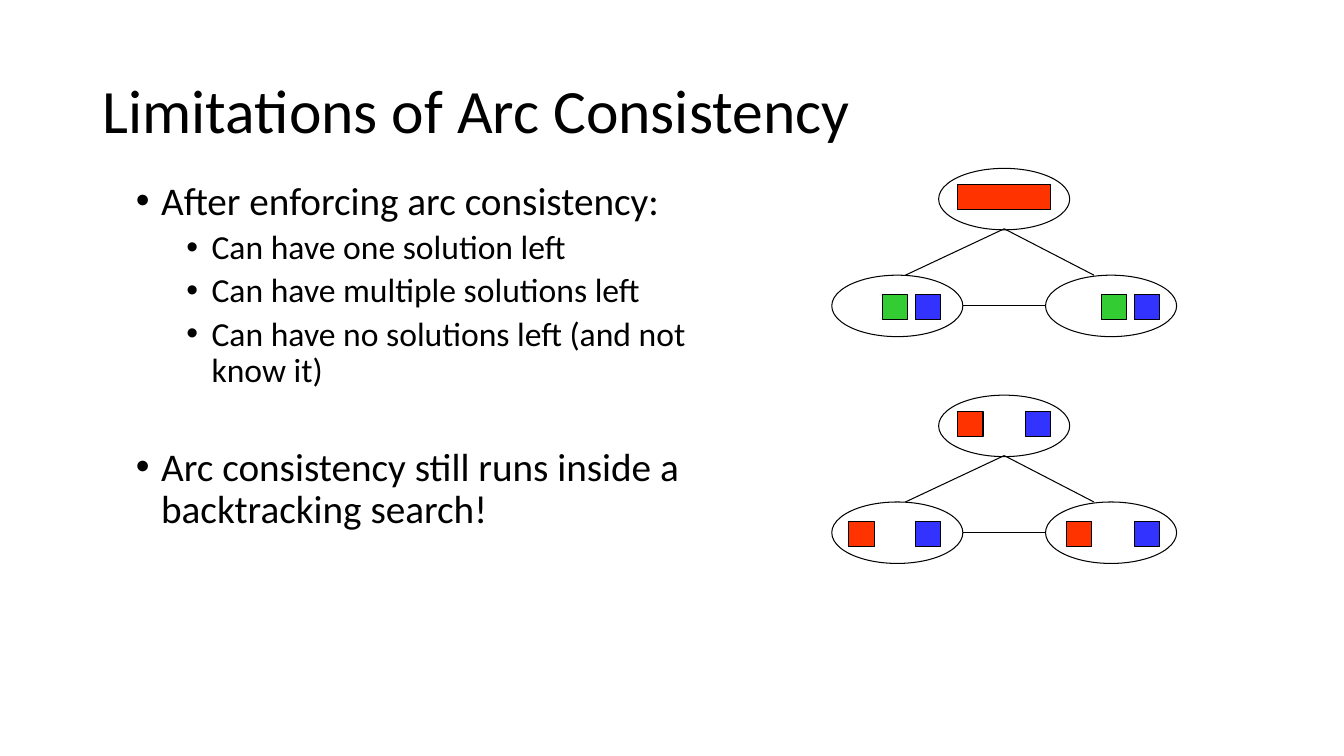
from lxml import etree
from pptx import Presentation
from pptx.dml.color import RGBColor
from pptx.enum.shapes import MSO_CONNECTOR, MSO_SHAPE
from pptx.enum.text import MSO_ANCHOR
from pptx.oxml.ns import qn
from pptx.util import Pt

OVAL = MSO_SHAPE.OVAL
RECT = MSO_SHAPE.RECTANGLE
LINE = MSO_CONNECTOR.STRAIGHT
MIDDLE = MSO_ANCHOR.MIDDLE
TOP = MSO_ANCHOR.TOP
PX = 9144
FONT = "Calibri"
COLORS = {"black": "000000", "red": "FF3300", "green": "33CC33", "blue": "3333FF"}

deck = Presentation()
deck.slide_width = 1333 * PX
deck.slide_height = 750 * PX
slide = deck.slides.add_slide(deck.slide_layouts[6])


def add_text(box, anchor, rows):
    frame = slide.shapes.add_textbox(*[n * PX for n in box]).text_frame
    frame.word_wrap = True
    frame.vertical_anchor = anchor
    for i, (text, size, indent, space) in enumerate(rows):
        para = frame.paragraphs[0] if i == 0 else frame.add_paragraph()
        if indent:
            props = para._p.get_or_add_pPr()
            props.set("marL", str(indent * PX))
            props.set("indent", str(-25 * PX))
            etree.SubElement(props, qn("a:buFont")).set("typeface", "Arial")
            etree.SubElement(props, qn("a:buChar")).set("char", "•")
        para.line_spacing = 0.9
        para.space_before = Pt(space)
        run = para.add_run()
        run.text = text
        run.font.name = FONT
        run.font.size = Pt(size)
        run.font.color.rgb = RGBColor.from_string(COLORS["black"])


def add_shape(parent, kind, box, fill=None):
    shape = parent.add_shape(kind, *[n * PX for n in box])
    shape.shadow.inherit = False
    if fill:
        shape.fill.solid()
        shape.fill.fore_color.rgb = RGBColor.from_string(COLORS[fill])
    else:
        shape.fill.background()
    shape.line.color.rgb = RGBColor.from_string(COLORS["black"])
    shape.line.width = Pt(0.75)


add_text((92, 40, 1150, 145), MIDDLE, [("Limitations of Arc Consistency", 44, 0, 0)])
add_text((125, 175, 608, 495), TOP, [
    ("After enforcing arc consistency:", 28, 25, 0),
    ("Can have one solution left", 24, 75, 5),
    ("Can have multiple solutions left", 24, 75, 5),
    ("Can have no solutions left (and not know it)", 24, 75, 5),
    ("Arc consistency still runs inside a backtracking search!", 28, 25, 41),
])

NODES = [(931, 0), (1037, 106), (825, 106)]
ARCS = [(996, 60, 898, 106), (996, 60, 1085, 106), (955, 136, 1037, 136)]
GRAPHS = [
    (167, [(950, 16, 92, "red"),
           (875, 125, 25, "green"), (908, 125, 25, "blue"),
           (1092, 125, 25, "green"), (1125, 125, 25, "blue")]),
    (392, [(950, 16, 25, "red"), (1017, 16, 25, "blue"),
           (842, 125, 25, "red"), (908, 125, 25, "blue"),
           (1058, 125, 25, "red"), (1125, 125, 25, "blue")]),
]

for top, values in GRAPHS:
    graph = slide.shapes.add_group_shape().shapes
    for x, y in NODES:
        add_shape(graph, OVAL, (x, top + y, 130, 61))
    for x1, y1, x2, y2 in ARCS:
        arc = graph.add_connector(LINE, x1 * PX, (top + y1) * PX, x2 * PX, (top + y2) * PX)
        arc.line.color.rgb = RGBColor.from_string(COLORS["black"])
        arc.line.width = Pt(0.75)
        etree.SubElement(arc._element.spPr, qn("a:effectLst"))
    for x, y, width, fill in values:
        add_shape(slide.shapes, RECT, (x, top + y, width, 25), fill)

deck.save("out.pptx")
